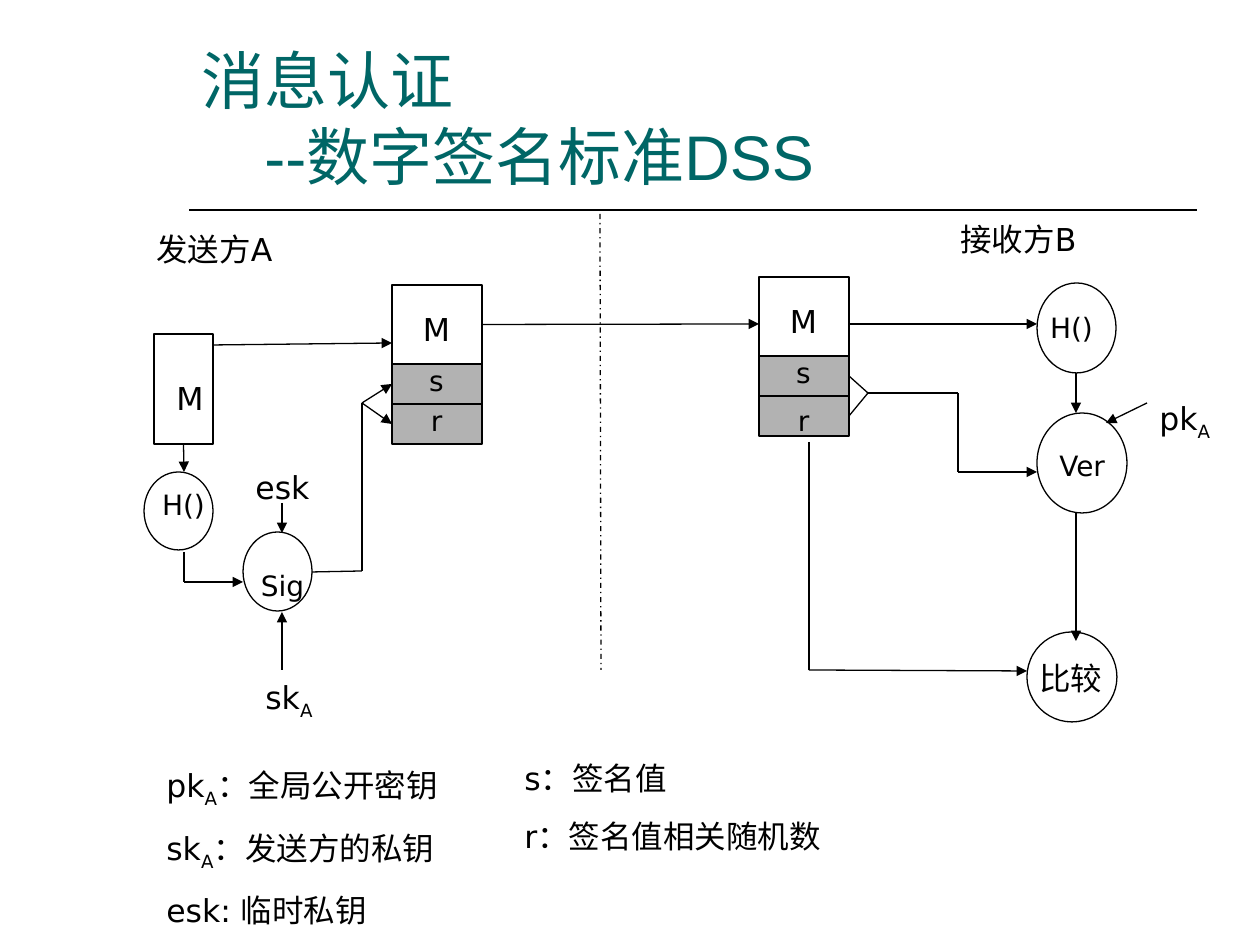
from pptx import Presentation
from pptx import util as u
from pptx.dml.color import RGBColor
from pptx.enum import dml, shapes, text
from pptx.oxml.ns import qn
from lxml import etree

PX = 914400 / 126
BLACK, TEAL, GREY = "000000", "006666", "B2B2B2"
RECT, OVAL = shapes.MSO_SHAPE.RECTANGLE, shapes.MSO_SHAPE.OVAL
TOP, LEFT, BOTTOM, RIGHT = range(4)
CENTER = text.PP_ALIGN.CENTER


def px(n):
    return u.Emu(round(n * PX))


def color(hex_string):
    return RGBColor.from_string(hex_string)


class Region:
    """Draws parts relative to a corner of the slide."""

    def __init__(self, slide, x, y):
        self.shapes, self.x, self.y = slide.shapes, x, y

    def at(self, x, y):
        return px(self.x + x), px(self.y + y)

    def node(self, kind, x, y, w, h, fill=None):
        node = self.shapes.add_shape(kind, *self.at(x, y), px(w), px(h))
        node.shadow.inherit = False
        if fill:
            node.fill.solid()
            node.fill.fore_color.rgb = color(fill)
        else:
            node.fill.background()
        node.line.color.rgb = color(BLACK)
        node.line.width = u.Pt(0.75)
        return node

    def label(self, lines, x, y, w, h, size=18, align=None, font="DejaVu Sans", ink=BLACK):
        """Lines of text; the parts between underscores are subscripts."""
        box = self.shapes.add_textbox(*self.at(x, y), px(w), px(h))
        frame = box.text_frame
        frame.word_wrap = True
        for i, line in enumerate(lines):
            paragraph = frame.add_paragraph() if i else frame.paragraphs[0]
            if i:
                paragraph.space_before = u.Pt(11.2)
            paragraph.alignment = align
            first, *rest = line.split("_")
            paragraph.text = first
            for part in rest:
                paragraph.add_run().text = part
            for k, run in enumerate(paragraph.runs):
                run.font.size, run.font.name = u.Pt(size), font
                run.font.color.rgb = color(ink)
                if rest and k % 2:
                    run.font._element.set("baseline", "-25000")
        return frame

    def line(self, start, end, arrow=False, width=0.75, begin=None, finish=None):
        """A straight line; begin and finish are (rectangle, side) joins."""
        line = self.shapes.add_connector(
            shapes.MSO_CONNECTOR.STRAIGHT, *self.at(*start), *self.at(*end))
        line.line.color.rgb = color(BLACK)
        line.line.width = u.Pt(width)
        if begin:
            line.begin_connect(*begin)
        if finish:
            line.end_connect(*finish)
        properties = line._element.spPr
        if arrow:
            etree.SubElement(line.line._get_or_add_ln(), qn("a:tailEnd"), type="triangle")
        etree.SubElement(properties, qn("a:effectLst"))
        return line

    def route(self, *points):
        """Connected lines with an arrowhead on the last."""
        for i in range(len(points) - 1):
            self.line(points[i], points[i + 1], arrow=i == len(points) - 2)


def signed_message(region, x, y, r_drop):
    """Message M with the signature parts s and r below it."""
    message = region.node(RECT, x, y, 90, 79)
    s = region.node(RECT, x, y + 79, 90, 40, GREY)
    r = region.node(RECT, x, y + 119, 90, 40, GREY)
    region.label(["M"], x + 10, y + 19, 69, 50, align=CENTER)
    region.label(["s"], x + 10, y + 72, 69, 47, 16, CENTER)
    region.label(["r"], x + 10, y + r_drop, 69, 47, 16, CENTER)
    return message, s, r


def heading(slide, x, y):
    region = Region(slide, x, y)
    title = region.label(["消息认证\v\t--数字签名标准DSS"], 0, 0, 1008, 157,
                         36, font="Arial", ink=TEAL)
    title.vertical_anchor = text.MSO_ANCHOR.BOTTOM
    region.line((0, 168), (1008, 168), width=1)


def sender(slide, x, y):
    region = Region(slide, x, y)
    region.label(["发送方A"], 4, 14, 179, 50)
    signed, s, r = signed_message(region, 252, 75, 112)

    # Message, hash and signing steps
    message = region.node(RECT, 14, 124, 59, 110)
    region.node(OVAL, 4, 262, 69, 78)
    region.node(OVAL, 103, 322, 69, 79)
    region.label(["M"], 24, 163, 40, 50, align=CENTER)
    region.label(["H()"], 4, 271, 79, 47, 16, CENTER)
    region.label(["Sig"], 103, 352, 79, 47, 16, CENTER)
    region.label(["esk"], 103, 252, 79, 50)
    region.label(["sk_A"], 113, 462, 98, 55)

    # Flow
    region.route((73, 135), (252, 133))
    region.line((44, 234), (44, 262), True, begin=(message, BOTTOM))
    region.route((44, 342), (44, 372), (103, 372))
    region.route((142, 293), (142, 323))
    region.route((142, 460), (142, 402))
    fork = (222, 193)
    region.line((172, 362), (222, 361))
    region.line((222, 361), fork)
    for part, part_y in ((s, 174), (r, 214)):
        region.line(fork, (252, part_y), True, finish=(part, LEFT))
    return signed


def receiver(slide, x, y):
    region = Region(slide, x, y)
    region.label(["接收方B"], 198, 4, 218, 50)
    _, s, r = signed_message(region, 9, 67, 120)

    # Hash, verify and compare steps
    region.node(OVAL, 287, 73, 79, 90)
    region.node(OVAL, 287, 203, 90, 100)
    region.node(OVAL, 277, 422, 90, 90)
    region.label(["H()"], 287, 94, 69, 47, 16, CENTER)
    region.label(["Ver"], 297, 232, 79, 47, 16)
    region.label(["比较"], 277, 443, 90, 50)
    region.label(["pk_A"], 397, 183, 79, 55)

    # Flow
    region.route((99, 114), (287, 114))
    region.route((326, 163), (326, 203))
    region.route((326, 302), (326, 431))
    region.route((397, 193), (356, 213))
    region.route((59, 232), (59, 460), (277, 461))
    merge = (118, 183)
    for part, part_y in ((s, 166), (r, 206)):
        region.line((99, part_y), merge, begin=(part, RIGHT))
    region.route(merge, (208, 183), (208, 262), (287, 262))


def channel(slide, x, y, signed):
    """Divider between the parties and the message sent across it."""
    region = Region(slide, x, y)
    divider = region.line((118, 0), (119, 456))
    divider.line.dash_style = dml.MSO_LINE.DASH_DOT
    region.line((0, 110), (277, 110), True, begin=(signed, RIGHT))


def legend(slide, x, y):
    region = Region(slide, x, y)
    region.label(["pk_A_：全局公开密钥", "sk_A_：发送方的私钥", "esk: 临时私钥"], 0, 7, 456, 176)
    region.label(["s：签名值", "r：签名值相关随机数"], 358, 0, 456, 108)


def main():
    deck = Presentation()
    deck.slide_width, deck.slide_height = px(1260), px(945)
    slide = deck.slides.add_slide(deck.slide_layouts[6])
    heading(slide, 189, 42)
    signed = sender(slide, 140, 210)
    receiver(slide, 750, 210)
    channel(slide, 482, 214, signed)
    legend(slide, 154, 753)
    deck.save("out.pptx")


if __name__ == "__main__":
    main()
